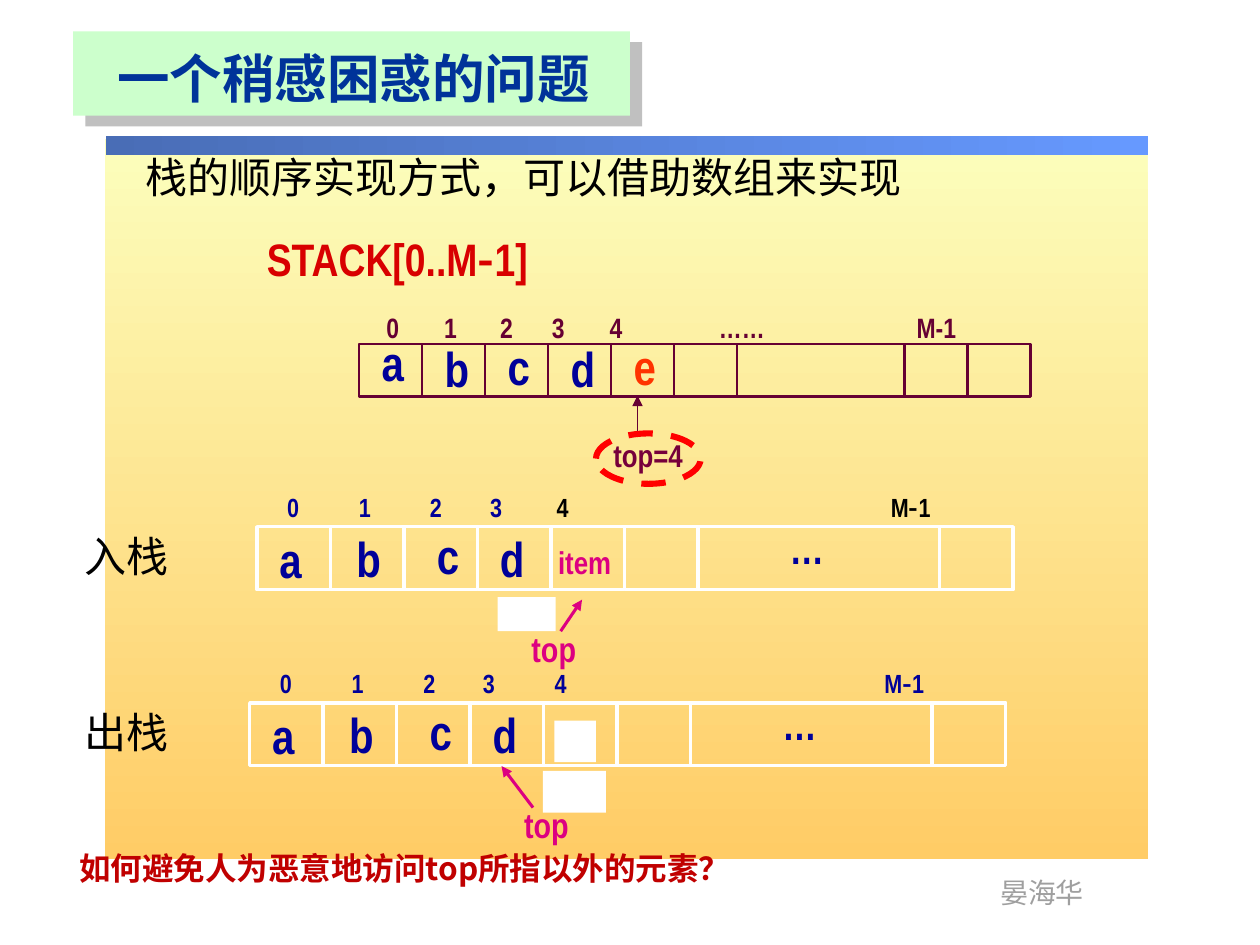
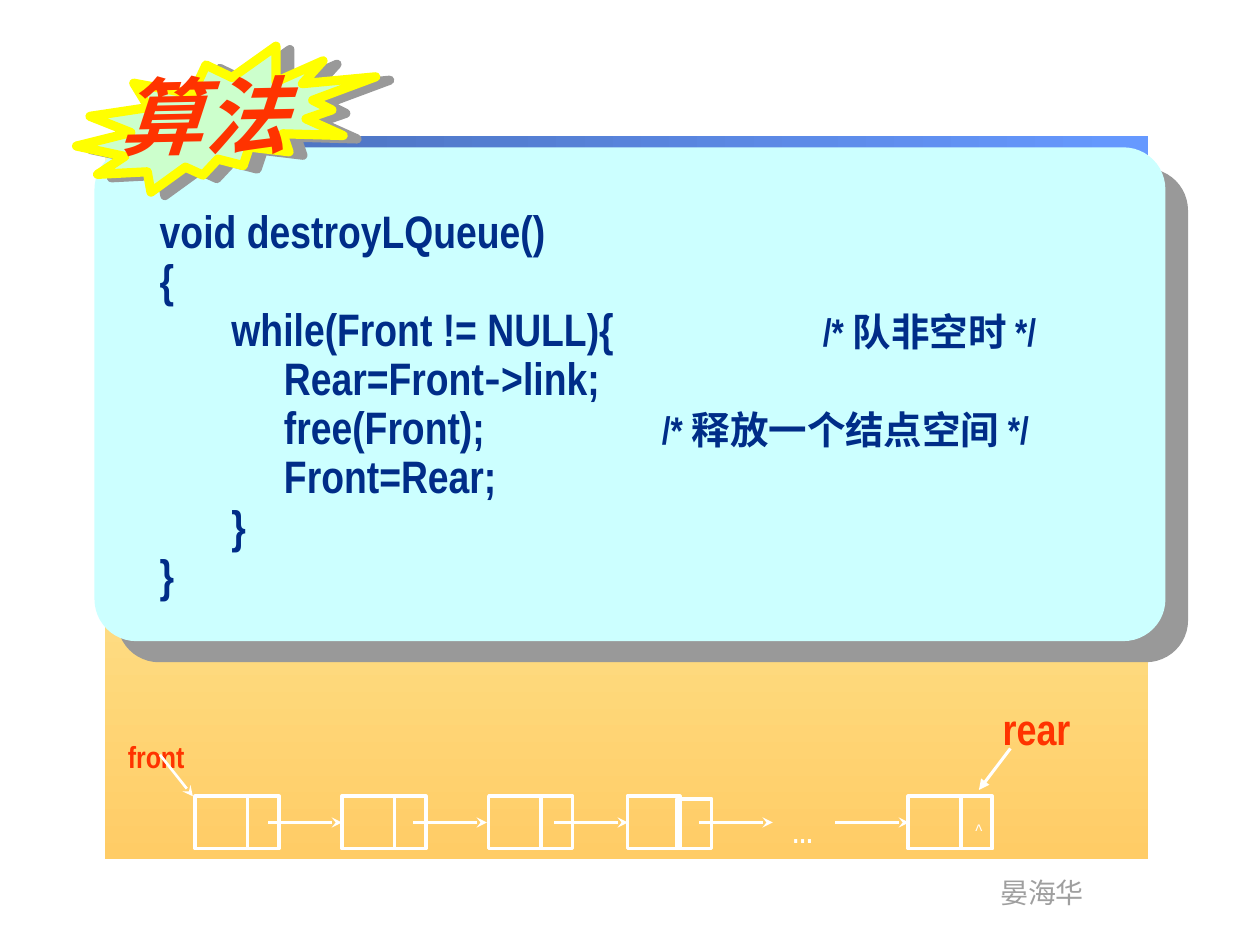
from dataclasses import dataclass
from itertools import groupby
from typing import NamedTuple, Optional

from lxml import etree
from pptx import Presentation
from pptx.dml.color import RGBColor
from pptx.enum.dml import MSO_LINE
from pptx.enum.shapes import MSO_CONNECTOR, MSO_SHAPE
from pptx.enum.text import MSO_ANCHOR, MSO_AUTO_SIZE, PP_ALIGN
from pptx.oxml.ns import qn
from pptx.util import Pt

RECT, ROUNDED = MSO_SHAPE.RECTANGLE, MSO_SHAPE.ROUNDED_RECTANGLE
ELLIPSE, BURST = MSO_SHAPE.OVAL, MSO_SHAPE.EXPLOSION2
STRAIGHT, DASH = MSO_CONNECTOR.STRAIGHT, MSO_LINE.DASH
LEFT, CENTER = PP_ALIGN.LEFT, PP_ALIGN.CENTER
MIDDLE, TOP = MSO_ANCHOR.MIDDLE, MSO_ANCHOR.TOP
GROW, FIXED = MSO_AUTO_SIZE.SHAPE_TO_FIT_TEXT, MSO_AUTO_SIZE.NONE
TITLE_ONLY = 5

LATIN, HAN = "Arial Narrow", "Noto Sans CJK SC"
COLORS = {
    "black": "000000", "white": "FFFFFF", "footer": "9F9F9F",
    "cream": "FCFEBC", "amber": "FFCC66", "band_dark": "496DB6", "band_light": "6699FF",
    "mint": "CCFFCC", "title": "003399", "soft_shadow": "C0C0C0", "shadow": "999999",
    "navy": "000099", "maroon": "660033", "top_label": "76003B", "pink": "DC0081",
    "orange": "FF3300", "red": "FF0000", "stack_name": "D80000", "question": "C00000",
    "panel": "CCFFFF", "code": "002D88", "yellow": "FFFF00",
}


class Box(NamedTuple):
    left: float
    top: float
    width: float
    height: float

    def shifted(self, dx: float, dy: float) -> "Box":
        return Box(self.left + dx, self.top + dy, self.width, self.height)

    def lengths(self) -> list:
        return [Pt(v) for v in self]


class Shadow(NamedTuple):
    color: str
    distance: float
    angle: float


@dataclass
class Run:
    text: str
    size: Optional[float] = None
    color: Optional[str] = None


@dataclass
class Letter:
    text: str
    left: float
    top: float
    color: str = "navy"


@dataclass
class Node:
    """Linked-list node; the pointer cell is placed relative to the data cell."""
    left: float
    pointer: Box = Box(30, 0, 18, 30)


def rgb(name: str) -> RGBColor:
    return RGBColor.from_string(COLORS[name])


def add_outer_shadow(effects, shadow: Shadow) -> None:
    outer = etree.SubElement(effects, qn("a:outerShdw"), dist=str(int(Pt(shadow.distance))),
                             dir=str(int(shadow.angle * 60000)), algn="ctr", rotWithShape="0")
    etree.SubElement(outer, qn("a:srgbClr"), val=COLORS[shadow.color])


def add_runs(p, runs, size, color, font=LATIN, bold=True, italic=False,
             baseline=0, dash_font=None, shadow=None) -> None:
    """Write runs into a paragraph; hyphens take dash_font where one is given."""
    for run in runs:
        for is_dash, chars in groupby(run.text, lambda ch: bool(dash_font) and ch == "-"):
            r = p.add_run()
            r.text = "".join(chars)
            f = r.font
            f.size, f.bold, f.italic = Pt(run.size or size), bold, italic
            f.color.rgb = rgb(run.color or color)
            f.name = dash_font if is_dash else font
            rpr = r._r.get_or_add_rPr()
            east_asian = etree.Element(qn("a:ea"), typeface=f.name)
            rpr.find(qn("a:latin")).addnext(east_asian)
            if baseline:
                rpr.set("baseline", str(baseline * 1000))
            if shadow:
                effects = etree.Element(qn("a:effectLst"))
                add_outer_shadow(effects, shadow)
                rpr.find(qn("a:solidFill")).addnext(effects)


def add_tabs(p, stops) -> None:
    tabs = etree.SubElement(p._p.get_or_add_pPr(), qn("a:tabLst"))
    for stop in stops:
        etree.SubElement(tabs, qn("a:tab"), pos=str(int(Pt(stop))), algn="l")


def add_text(slide, box: Box, text, size, color, *, wrap=False, align=LEFT, tabs=(), **fmt):
    """Text is a string or a list of runs."""
    s = slide.shapes.add_textbox(*box.lengths())
    tf = s.text_frame
    tf.word_wrap, tf.auto_size, tf.vertical_anchor = wrap, GROW, TOP
    p = tf.paragraphs[0]
    p.alignment = align
    if tabs:
        add_tabs(p, tabs)
    add_runs(p, [Run(text)] if isinstance(text, str) else text, size, color, **fmt)
    return s


def set_title(slide, box: Box, text, size, color, *, rotation=0.0, **fmt) -> None:
    s = slide.shapes.title
    slide.shapes._spTree.append(s._element)  # bring in front of its backing shape
    s.left, s.top, s.width, s.height = box.lengths()
    s.rotation = rotation
    tf = s.text_frame
    tf.word_wrap, tf.auto_size, tf.vertical_anchor = True, FIXED, MIDDLE
    p = tf.paragraphs[0]
    p.alignment = LEFT
    add_runs(p, [Run(text)], size, color, **fmt)


def add_box(slide, box: Box, kind=RECT, *, fill=None, gradient=None, angle=0,
            line=None, width=2.0, dash=None, shadow=None):
    s = slide.shapes.add_shape(kind, *box.lengths())
    s.shadow.inherit = False
    if gradient:
        s.fill.gradient()
        s.fill.gradient_angle = -angle % 360
        for stop, color in zip(s.fill.gradient_stops, gradient):
            stop.color.rgb = rgb(color)
    elif fill:
        s.fill.solid()
        s.fill.fore_color.rgb = rgb(fill)
    else:
        s.fill.background()
    if line:
        s.line.color.rgb, s.line.width = rgb(line), Pt(width)
        if dash:
            s.line.dash_style = dash
    else:
        s.line.fill.background()
    if shadow:
        add_outer_shadow(s._element.spPr.find(qn("a:effectLst")), shadow)
    return s


def add_line(slide, start, end, color, width, head=None) -> None:
    s = slide.shapes.add_connector(STRAIGHT, *[Pt(v) for v in (*start, *end)])
    s.line.color.rgb, s.line.width = rgb(color), Pt(width)
    if head:
        etree.SubElement(s.line._get_or_add_ln(), qn("a:tailEnd"), type=head)
    etree.SubElement(s._element.spPr, qn("a:effectLst"))


def add_letters(slide, letters, dx=0.0, dy=0.0) -> None:
    for item in letters:
        add_text(slide, Box(item.left + dx, item.top + dy, 29, 41), item.text, 28, item.color)


def furnish_layout(layout, slide) -> None:
    """Draw the shared background on a slide, then move it to the layout."""
    shared = [
        add_box(slide, Box(59.8, 79.2, 596, 412), gradient=("cream", "amber"), angle=90),
        add_box(slide, Box(60.5, 77.8, 595.5, 10.8), gradient=("band_dark", "band_light")),
        add_text(slide, Box(564.5, 496.8, 62.6, 26.6), "晏海华", 16, "footer", bold=False),
    ]
    for s in shared:
        layout.shapes._spTree.append(s._element)


def draw_full_stack(slide) -> None:
    left, top, cell, height = 205.2, 196.6, 36, 30
    add_letters(slide, [Letter("a", 211, 186.5), Letter("b", 247, 190), Letter("c", 283, 188.6),
                        Letter("d", 319, 190), Letter("e", 355, 188.6, "orange")])
    add_text(slide, Box(343.4, 245.5, 59, 28.8), "top=4", 18, "top_label")
    add_line(slide, (364.3, 249.8), (364.3, 226.1), "maroon", 1, "triangle")
    add_box(slide, Box(340.6, 247.7, 59.8, 28.8), ELLIPSE, line="red", width=3.5, dash=DASH)
    gap_start, gap_end = left + 6 * cell, 517
    cells = [left + i * cell for i in range(6)] + [gap_end, gap_end + cell]
    for x in cells:
        add_box(slide, Box(x, top, cell, height), line="maroon", width=1.5)
    for y in (top, top + height):
        add_line(slide, (gap_start, y), (gap_end, y), "maroon", 1.5)
    add_text(slide, Box(213.8, 174.2, 379, 26.6), "0\t1\t2\t3\t4\t……\tM-1", 16, "maroon",
             wrap=True, tabs=(33, 65, 94.5, 127.5, 190, 303))
    add_text(slide, Box(145.4, 128.2, 247.7, 38.2), "STACK[0..M-1]", 26, "stack_name",
             wrap=True, dash_font=HAN)


def draw_stack_row(slide, caption, index_runs, index_tabs, dx=0.0, dy=0.0) -> None:
    left, top, cell, wide, height = 146.9 + dx, 301 + dy, 42, 138, 36
    add_text(slide, Box(41, 299.5 + dy, 63.4, 36.7), caption, 24, "black", font=HAN, bold=False)
    add_text(slide, Box(157 + dx, 277.2 + dy, 437.8, 25.2), index_runs, 15, "navy",
             wrap=True, tabs=index_tabs, dash_font=HAN)
    add_letters(slide, [Letter("a", 152.6, 298.8), Letter("b", 196.6, 298.6),
                        Letter("c", 242.6, 296.8), Letter("d", 278.6, 298.6)], dx, dy)
    add_text(slide, Box(296.6 + dx, 355 + dy, 42.5, 31), "top", 20, "pink")
    for i in range(6):
        add_box(slide, Box(left + i * cell, top, cell, height), line="white")
    gap = left + 6 * cell
    add_box(slide, Box(gap, top, wide, height), line="white")
    add_box(slide, Box(gap + wide, top, cell, height), line="white")
    add_text(slide, Box(444.2 + dx, 295.2 + dy, 38.2, 36), "…", 24, "navy")


def build_stack_slide(slide) -> None:
    add_box(slide, Box(41.8, 18, 318.2, 48.2), fill="mint", shadow=Shadow("soft_shadow", 9.2, 41))
    set_title(slide, Box(59.8, 22.3, 291.6, 44), "一个稍感困惑的问题", 30, "title", font=HAN)
    add_text(slide, Box(76.3, 82.8, 450.7, 36), "栈的顺序实现方式，可以借助数组来实现",
             24, "black", font=HAN, bold=False)
    draw_full_stack(slide)

    draw_stack_row(slide, "入栈", [Run("0\t1\t2\t3\t"), Run("4\tM-1", color="black")],
                   (41, 81.5, 116, 154, 345))
    add_box(slide, Box(284.4, 341.3, 33.1, 19.4), fill="white")
    add_line(slide, (320.4, 360.7), (332.6, 342.7), "pink", 1.75, "triangle")
    add_text(slide, Box(311.8, 306.7, 48.2, 28.8), "item", 18, "pink")

    draw_stack_row(slide, "出栈", [Run("0\t1\t2\t3\t4\tM-1")],
                   (41, 82, 116, 157, 345.5), dx=-4.2, dy=100.6)
    add_box(slide, Box(310.3, 440.6, 36, 23.8), fill="white")
    add_line(slide, (304.6, 461.5), (286.6, 437.8), "pink", 1.75, "triangle")
    add_box(slide, Box(316.8, 411.8, 23.8, 23.8), fill="white")
    add_text(slide, Box(38.2, 481.7, 676.8, 46), "如何避免人为恶意地访问top所指以外的元素？",
             18, "question", font=HAN, wrap=True)


def draw_code_panel(slide) -> None:
    panel = add_box(slide, Box(54, 84.2, 612, 282.2), ROUNDED, fill="panel",
                    shadow=Shadow("shadow", 17.7, 43))
    panel.adjustments[0] = 0.085
    block, body = 41, 71
    lines = [
        ("void destroyLQueue()", "", ()),
        ("{", "", ()),
        ("\twhile(Front != NULL){", "\t/* 队非空时 */", (block, 379)),
        ("\tRear=Front->link;", "", (body,)),
        ("\tfree(Front);", "\t/* 释放一个结点空间 */", (body, 287)),
        ("\tFront=Rear;", "", (body,)),
        ("\t}", "", (block,)),
        ("}", "", ()),
    ]
    tf = slide.shapes.add_textbox(*Box(84.2, 116, 570.2, 232.6).lengths()).text_frame
    tf.word_wrap, tf.auto_size = True, GROW
    for i, (code, comment, tabs) in enumerate(lines):
        p = tf.add_paragraph() if i else tf.paragraphs[0]
        p.line_spacing = 0.9
        add_tabs(p, tabs)
        add_runs(p, [Run(code), Run(comment, size=22)], 26, "code", dash_font=HAN)


def draw_queue(slide) -> None:
    top, arrow_y, arrow_length = 455, 470, 42
    nodes = [Node(111.5), Node(195.4), Node(279.3),
             Node(358.5, Box(28.2, 1.5, 20, 28.5)), Node(519)]
    for node in nodes:
        add_box(slide, Box(node.left, top, 30, 30), line="white")
        add_box(slide, node.pointer.shifted(node.left, top), line="white")
    for x in (153.4, 236.2, 316.8, 399.6, 477.4):
        add_line(slide, (x, arrow_y), (x + arrow_length, arrow_y), "white", 1.75, "stealth")
    lowered = {"align": CENTER, "baseline": -10}
    add_text(slide, Box(442.8, 450, 31.7, 27.4), "…", 26, "white", **lowered)
    add_text(slide, Box(547.2, 455, 24.5, 32.4), "^", 18, "white", bold=False, **lowered)
    add_text(slide, Box(60.5, 402.5, 57.6, 31), "front", 30, "orange", **lowered)
    add_line(slide, (91.4, 431.3), (110.2, 455), "white", 1.5, "stealth")
    add_text(slide, Box(565.9, 397.4, 60.5, 37.4), "rear", 25, "orange")
    add_line(slide, (577.4, 427.7), (559.4, 451.4), "white", 1.75, "triangle")


def build_algorithm_slide(slide) -> None:
    draw_code_panel(slide)
    burst = add_box(slide, Box(42.5, 29.5, 174.2, 75.6), BURST, fill="mint", line="yellow",
                    width=5.25, shadow=Shadow("shadow", 8.2, 14))
    burst.rotation = 354.1
    set_title(slide, Box(60.5, 32.4, 169.2, 64.8), "算法", 48, "orange", rotation=358.8,
              italic=True, shadow=Shadow("black", 3, 45))
    draw_queue(slide)


def main() -> None:
    prs = Presentation()
    prs.slide_width, prs.slide_height = Pt(720), Pt(540)
    layout = prs.slide_layouts[TITLE_ONLY]
    stack_slide, algorithm_slide = (prs.slides.add_slide(layout) for _ in range(2))
    furnish_layout(layout, stack_slide)
    build_stack_slide(stack_slide)
    build_algorithm_slide(algorithm_slide)
    prs.save("out.pptx")


if __name__ == "__main__":
    main()
